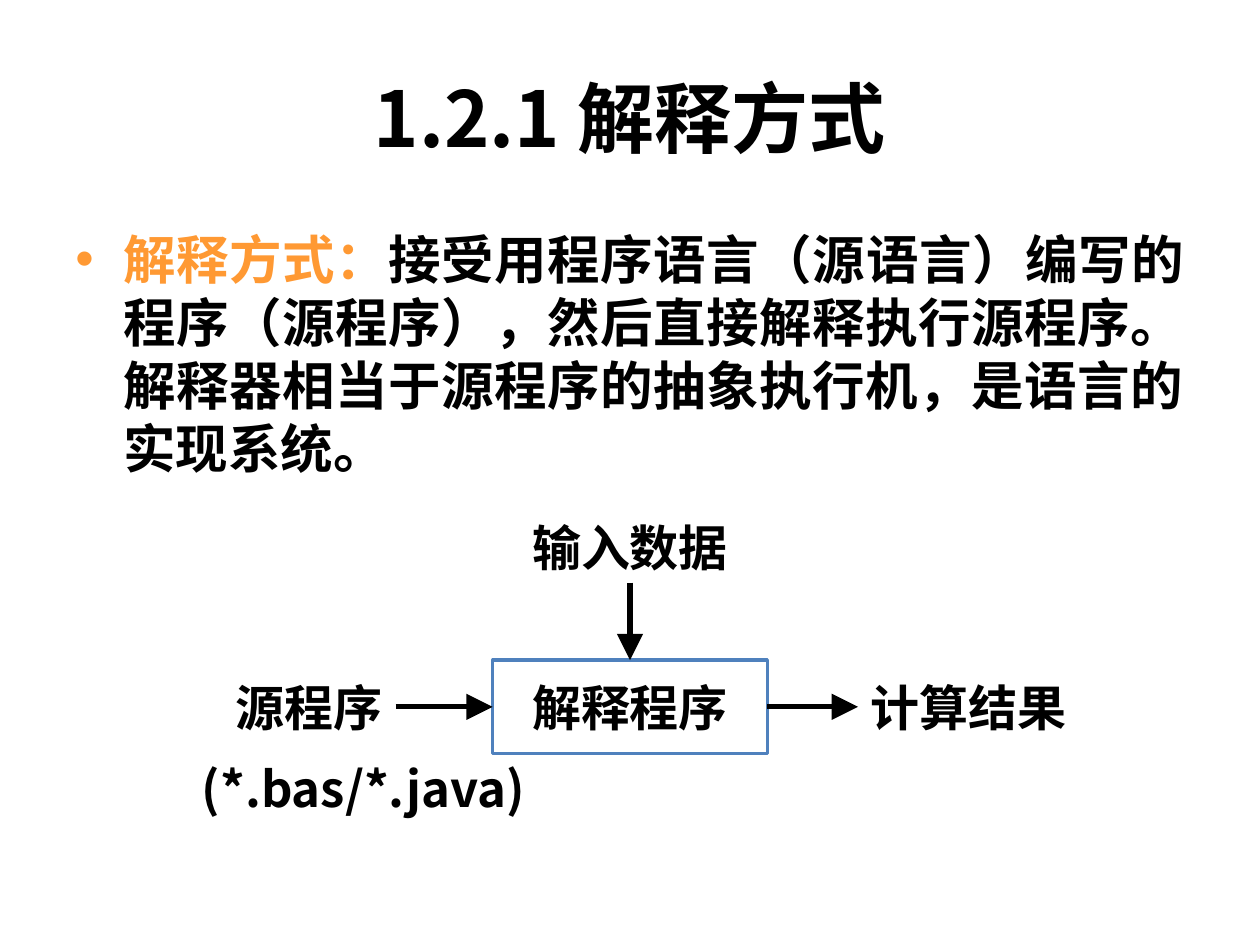
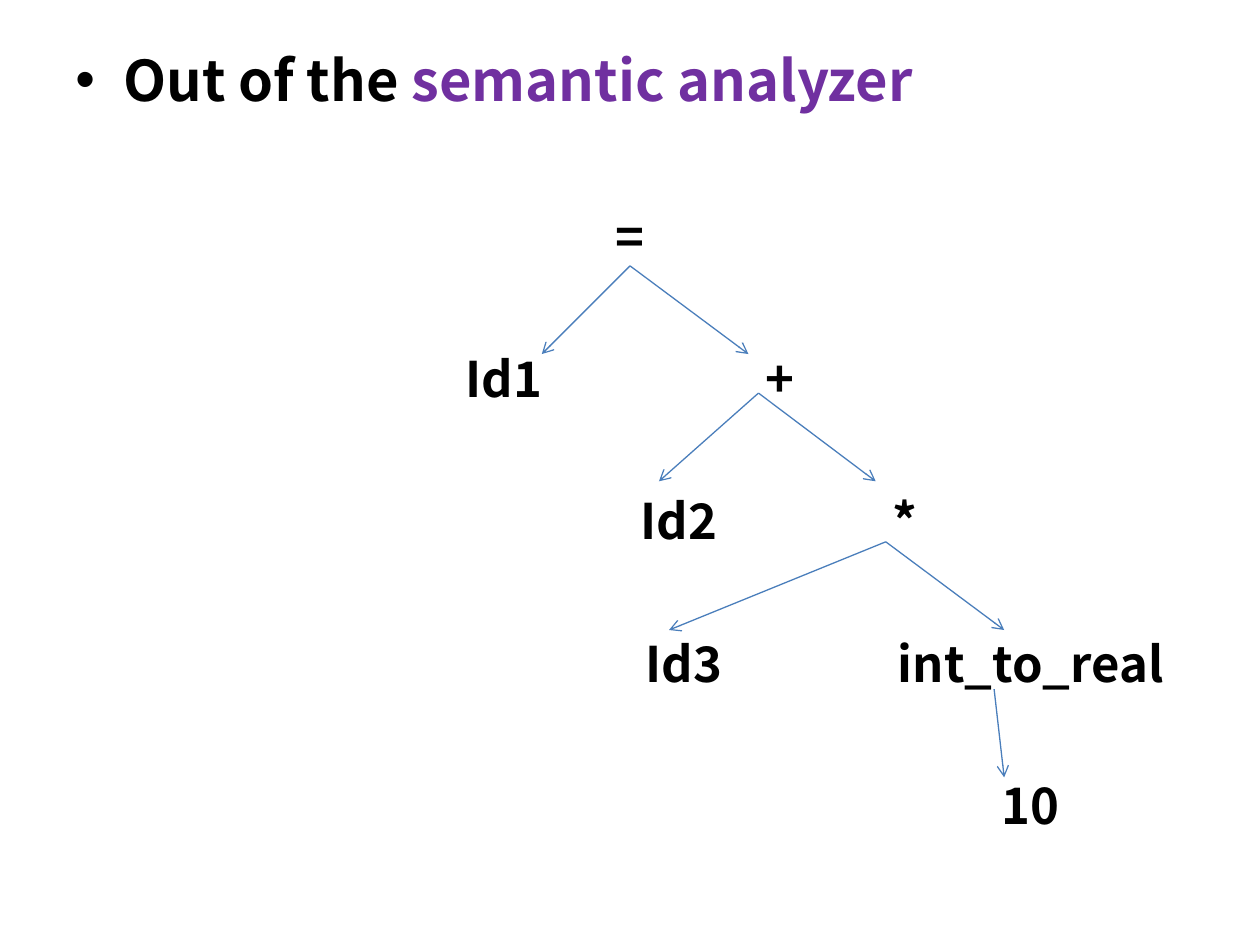
from lxml import etree
from pptx import Presentation
from pptx.dml.color import RGBColor
from pptx.enum.shapes import MSO_CONNECTOR, MSO_SHAPE
from pptx.enum.text import MSO_ANCHOR, PP_ALIGN
from pptx.oxml.ns import qn
from pptx.util import Inches, Pt

STRAIGHT = MSO_CONNECTOR.STRAIGHT
RECTANGLE = MSO_SHAPE.RECTANGLE
TOP, MIDDLE = MSO_ANCHOR.TOP, MSO_ANCHOR.MIDDLE
LEFT, CENTER, JUSTIFY = PP_ALIGN.LEFT, PP_ALIGN.CENTER, PP_ALIGN.JUSTIFY
SIDE_TOP, SIDE_LEFT, SIDE_BOTTOM, SIDE_RIGHT = range(4)

# Shared style
WIDTH, HEIGHT = 10, 7.5
MARGIN = 0.05 * WIDTH
CONTENT_WIDTH = WIDTH - 2 * MARGIN
FONT = "Noto Sans CJK SC"
COLORS = {"text": "000000", "orange": "FF9933", "purple": "7030A0",
          "box": "FFFFFF", "outline": "4F81BD", "branch": "4A7EBB"}
LABEL_SIZE, LABEL_HEIGHT = 28, 0.57
BULLET_INDENT = 0.38

# Slide 1 content
TITLE = "1.2.1 解释方式"
DEFINITION = [
    ("解释方式：", "orange"),
    ("接受用程序语言（源语言）编写的程序（源程序），然后直接解释执行源程序。"
     "解释器相当于源程序的抽象执行机，是语言的实现系统。", "text"),
]
FLOW_MIDDLE = 5.61
# name: (text, left, width, vertical middle, height)
FLOW = {
    "input": ("输入数据", 4.12, 1.76, 4.34, LABEL_HEIGHT),
    "source": ("源程序", 1.77, 1.37, FLOW_MIDDLE, LABEL_HEIGHT),
    "interpreter": ("解释程序", 3.91, 2.18, FLOW_MIDDLE, 0.74),
    "result": ("计算结果", 6.81, 1.75, FLOW_MIDDLE, LABEL_HEIGHT),
    "file types": ("(*.bas/*.java)", 1.5, 2.77, 6.25, LABEL_HEIGHT),
}
FLOW_ARROWS = [
    ("source", SIDE_RIGHT, "interpreter", SIDE_LEFT),
    ("interpreter", SIDE_RIGHT, "result", SIDE_LEFT),
    ("input", SIDE_BOTTOM, "interpreter", SIDE_TOP),
]

# Slide 2 content
HEADING = [("Out of the ", "text"), ("semantic analyzer", "purple")]
TREE_TOP, TREE_STEP, BRANCH_DROP = 1.87, 1.13, 0.7
# One list per level: (text, horizontal centre, width)
TREE_LEVELS = [
    [("=", 5, 1)],
    [("Id1", 4, 1), ("+", 6.19, 1)],
    [("Id2", 5.39, 1), ("*", 7.18, 1)],
    [("Id3", 5.43, 1), ("int_to_real", 8.18, 2.4)],
    [("10", 8.18, 1)],
]
# Start x, start y, end x of each branch
BRANCHES = [
    (5, 2.11, (4.3, 5.94)),
    (6.02, 3.12, (5.23, 6.95)),
    (7.03, 4.3, (5.31, 7.97)),
    (7.89, 5.47, (7.97,)),
]


def color(name):
    return RGBColor.from_string(COLORS[name])


def add_runs(paragraph, runs, size):
    for text, color_name in runs:
        run = paragraph.add_run()
        run.text = text
        run.font.name, run.font.size, run.font.bold = FONT, Pt(size), True
        run.font.color.rgb = color(color_name)
        east_asian = etree.SubElement(run._r.get_or_add_rPr(), qn("a:ea"))
        east_asian.set("typeface", FONT)


def fill_text(shape, runs, size, align=LEFT, anchor=MIDDLE, wrap=False):
    frame = shape.text_frame
    frame.word_wrap = wrap
    frame.vertical_anchor = anchor
    paragraph = frame.paragraphs[0]
    paragraph.alignment = align
    add_runs(paragraph, runs, size)
    return paragraph


def add_text_box(slide, left, top, width, height):
    return slide.shapes.add_textbox(Inches(left), Inches(top), Inches(width), Inches(height))


def add_label(slide, text, left, middle, width, height=LABEL_HEIGHT):
    label = add_text_box(slide, left, middle - height / 2, width, height)
    fill_text(label, [(text, "text")], LABEL_SIZE, CENTER)
    return label


def add_bullet(slide, runs, top, height, size, align=LEFT):
    box = add_text_box(slide, MARGIN, top, CONTENT_WIDTH, height)
    paragraph = fill_text(box, runs, size, align, TOP, wrap=True)
    properties = paragraph._p.get_or_add_pPr()
    properties.set("marL", str(Inches(BULLET_INDENT)))
    properties.set("indent", str(-Inches(BULLET_INDENT)))
    bullet_color = etree.SubElement(properties, qn("a:buClr"))
    etree.SubElement(bullet_color, qn("a:srgbClr")).set("val", COLORS[runs[0][1]])
    etree.SubElement(properties, qn("a:buFont")).set("typeface", "Arial")
    etree.SubElement(properties, qn("a:buChar")).set("char", "•")


def add_arrow(slide, start, end, color_name, width, head, head_size="med"):
    arrow = slide.shapes.add_connector(STRAIGHT, *(Inches(value) for value in (*start, *end)))
    arrow.line.color.rgb = color(color_name)
    arrow.line.width = Pt(width)
    tail = etree.SubElement(arrow.line._get_or_add_ln(), qn("a:tailEnd"))
    for key, value in (("type", head), ("w", head_size), ("len", head_size)):
        tail.set(key, value)
    etree.SubElement(arrow._element.spPr, qn("a:effectLst"))
    return arrow


def build_interpreter_slide(slide):
    # Title and definition
    title = add_text_box(slide, MARGIN, 0.3, CONTENT_WIDTH, 1.25)
    fill_text(title, [(TITLE, "text")], 44, CENTER, wrap=True)
    add_bullet(slide, DEFINITION, 1.75, 2.2, 30, JUSTIFY)

    # Flow labels around the interpreter box
    parts = {}
    for name, (text, left, width, middle, height) in FLOW.items():
        if name == "interpreter":
            box = slide.shapes.add_shape(RECTANGLE, Inches(left), Inches(middle - height / 2),
                                         Inches(width), Inches(height))
            box.shadow.inherit = False
            box.fill.solid()
            box.fill.fore_color.rgb = color("box")
            box.line.color.rgb = color("outline")
            box.line.width = Pt(2)
            fill_text(box, [(text, "text")], LABEL_SIZE, CENTER)
            parts[name] = box
        else:
            parts[name] = add_label(slide, text, left, middle, width, height)

    # Arrows joined to the parts
    for source, source_side, target, target_side in FLOW_ARROWS:
        arrow = add_arrow(slide, (0, 0), (1, 1), "text", 3, "triangle", "lg")
        arrow.begin_connect(parts[source], source_side)
        arrow.end_connect(parts[target], target_side)


def build_tree_slide(slide):
    add_bullet(slide, HEADING, 0.31, 0.8, 32)

    # Nodes, level by level
    for level, nodes in enumerate(TREE_LEVELS):
        for text, center, width in nodes:
            add_label(slide, text, center - width / 2, TREE_TOP + level * TREE_STEP, width)

    # Branches
    for x, y, ends in BRANCHES:
        for end in ends:
            add_arrow(slide, (x, y), (end, y + BRANCH_DROP), "branch", 0.75, "arrow")


def main():
    presentation = Presentation()
    presentation.slide_width, presentation.slide_height = Inches(WIDTH), Inches(HEIGHT)
    blank = presentation.slide_layouts[6]
    for build in (build_interpreter_slide, build_tree_slide):
        build(presentation.slides.add_slide(blank))
    presentation.save("out.pptx")


if __name__ == "__main__":
    main()
